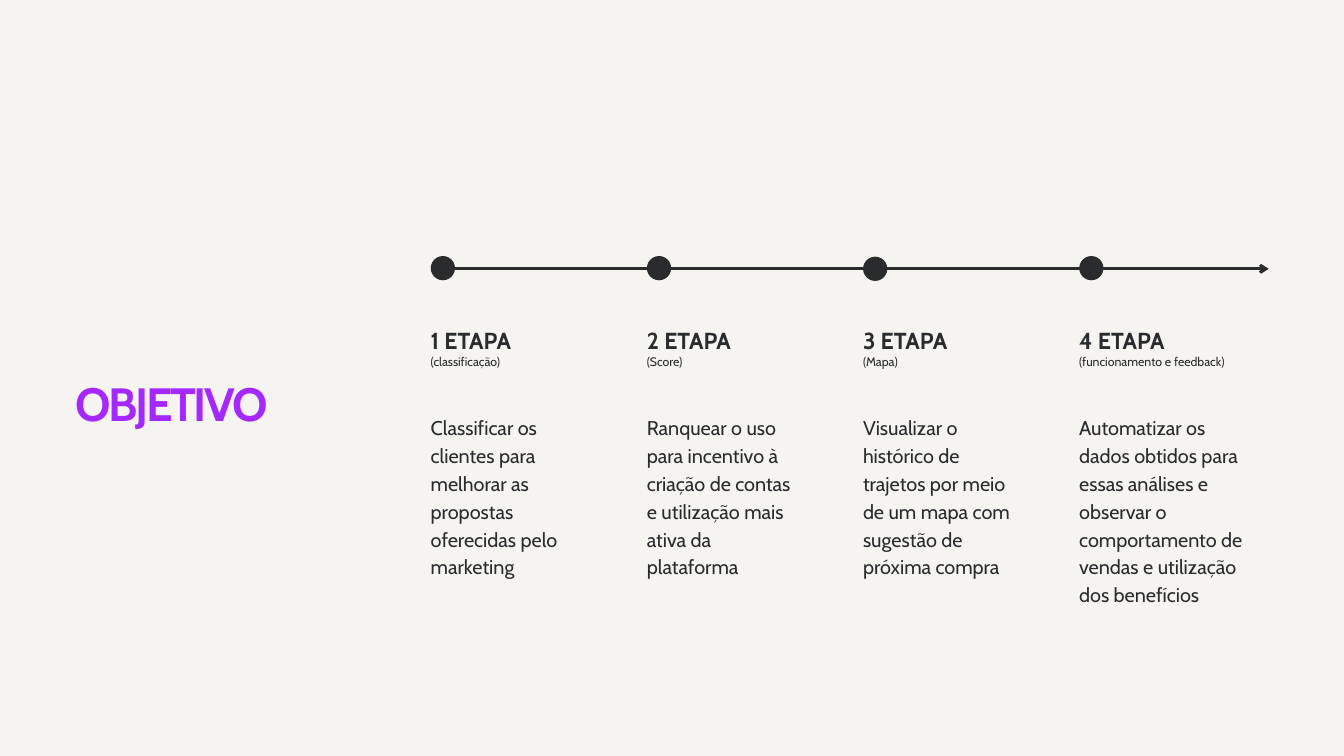
from pptx import Presentation
from pptx.dml.color import RGBColor
from pptx.enum.shapes import MSO_CONNECTOR, MSO_SHAPE
from pptx.enum.text import MSO_AUTO_SIZE, PP_ALIGN
from pptx.oxml.ns import qn
from pptx.util import Pt
from lxml.etree import SubElement

COLORS = {"paper": "F6F4F1", "ink": "292B2D", "accent": "A528FE"}
STAGES = [
    ("1 ETAPA", "(classificação)", PP_ALIGN.JUSTIFY, 161.3, 175.7, 274.3,
     "Classificar os clientes para melhorar as propostas oferecidas pelo marketing"),
    ("2 ETAPA", "(Score)", PP_ALIGN.JUSTIFY, 161.3, 205.2, 274.3,
     "Ranquear o uso para incentivo à criação de contas e utilização mais ativa da plataforma"),
    ("3 ETAPA", "(Mapa)", PP_ALIGN.JUSTIFY, 161.3, 234.7, 275,
     "Visualizar o histórico de trajetos por meio de um mapa com sugestão de próxima compra"),
    ("4 ETAPA", "(funcionamento e feedback)", PP_ALIGN.LEFT, 175, 263.5, 274.3,
     "Automatizar os dados obtidos para essas análises e observar o comportamento "
     "de vendas e utilização dos benefícios"),
]
LEFT, STEP, AXIS_Y, AXIS_END = 461.5, 231.6, 288, 1359.4
COLUMN_W, DOT = 161.3, 26


class Deck:
    """Holds the text style and the current slide."""

    font = "Cabin"

    def __init__(self, slide):
        self.s = slide

    def color(self, name):
        return RGBColor.from_string(COLORS[name])

    def background(self, name):
        fill = self.s.background.fill
        fill.solid()
        fill.fore_color.rgb = self.color(name)

    def text(self, text, x, y, w, h, size, leading, color="ink", bold=False,
             align=PP_ALIGN.LEFT, tracking=None):
        tf = self.s.shapes.add_textbox(Pt(x), Pt(y), Pt(w), Pt(h)).text_frame
        tf.margin_left = tf.margin_top = tf.margin_right = tf.margin_bottom = 0
        tf.word_wrap = True
        tf.auto_size = MSO_AUTO_SIZE.SHAPE_TO_FIT_TEXT
        tf.text = text
        p = tf.paragraphs[0]
        p.alignment = align
        p.line_spacing = Pt(leading)
        r = p.runs[0]
        r.font.name = self.font
        r.font.size = Pt(size)
        r.font.bold = bold
        r.font.color.rgb = self.color(color)
        if tracking is not None:
            r.font._element.set("spc", str(int(tracking * 100)))

    def arrow(self, x1, y1, x2, y2, width, color="ink"):
        line = self.s.shapes.add_connector(
            MSO_CONNECTOR.STRAIGHT, Pt(x1), Pt(y1), Pt(x2), Pt(y2))
        line.line.width = Pt(width)
        line.line.color.rgb = self.color(color)
        SubElement(line.line._get_or_add_ln(), qn("a:tailEnd"), type="arrow")
        SubElement(line._element.spPr, qn("a:effectLst"))

    def dot(self, x, y, size, color="ink"):
        sp = self.s.shapes.add_shape(MSO_SHAPE.OVAL, Pt(x), Pt(y), Pt(size), Pt(size))
        sp.shadow.inherit = False
        sp.fill.solid()
        sp.fill.fore_color.rgb = self.color(color)
        sp.line.fill.background()


def main():
    prs = Presentation()
    prs.slide_width, prs.slide_height = Pt(1440), Pt(810)
    deck = Deck(prs.slides.add_slide(prs.slide_layouts[6]))
    deck.background("paper")
    deck.text("OBJETIVO", 80.6, 416.2, 262.8, 48.2, 50, 45,
              color="accent", bold=True, tracking=-2.5)
    deck.arrow(LEFT, AXIS_Y, AXIS_END, AXIS_Y, 3)
    for i, (title, note, align, body_w, body_h, dot_y, body) in enumerate(STAGES):
        x = LEFT + i * STEP
        deck.text(title, x, 349.2, COLUMN_W, 30.2, 24.8, 29.7, bold=True)
        deck.text(body, x, 441.4, body_w, body_h, 21.3, 29.8)
        deck.text(note, x, 376.6, COLUMN_W, 18, 13.2, 18.5, align=align)
        deck.dot(x, dot_y, DOT)
    prs.save("out.pptx")


if __name__ == "__main__":
    main()
